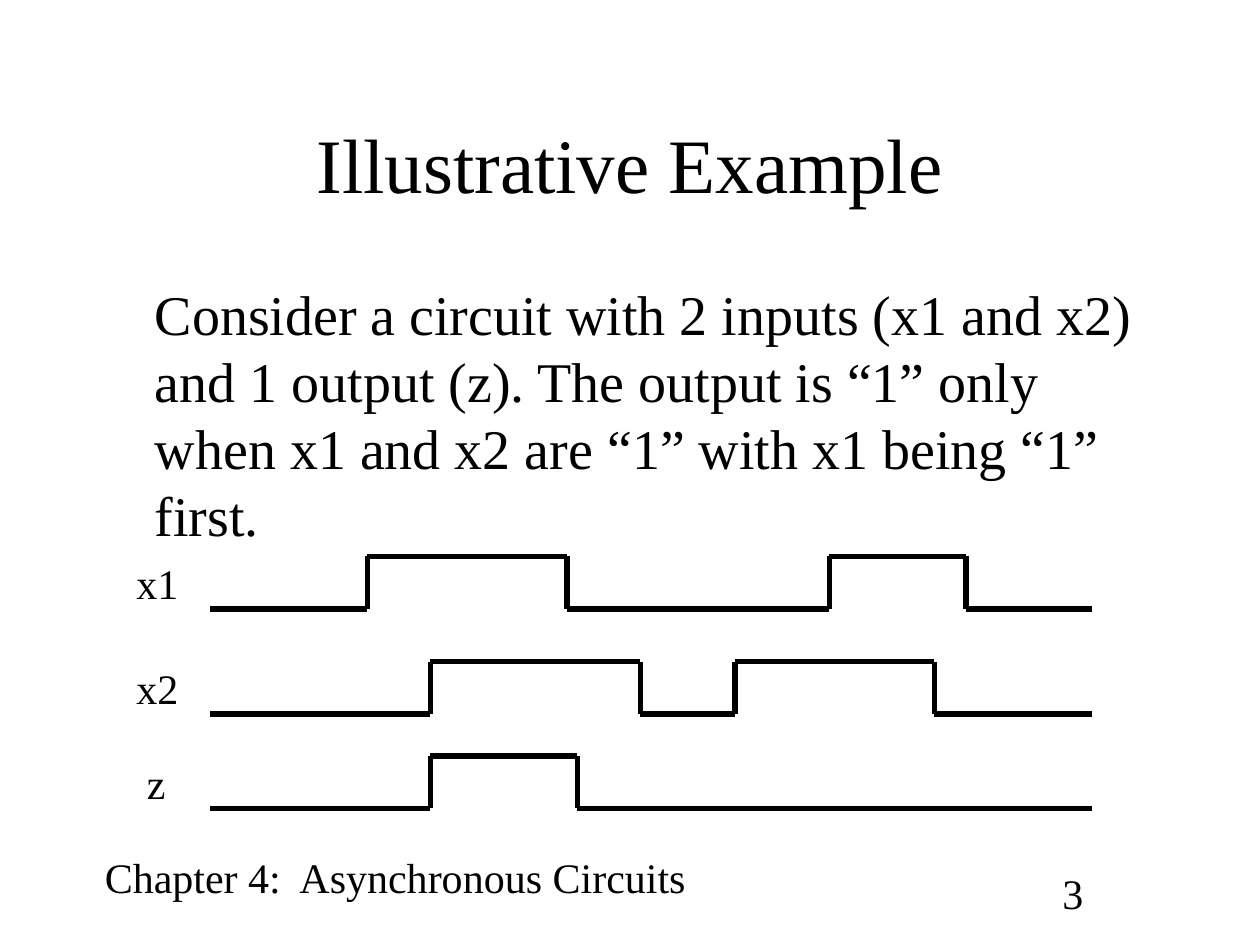
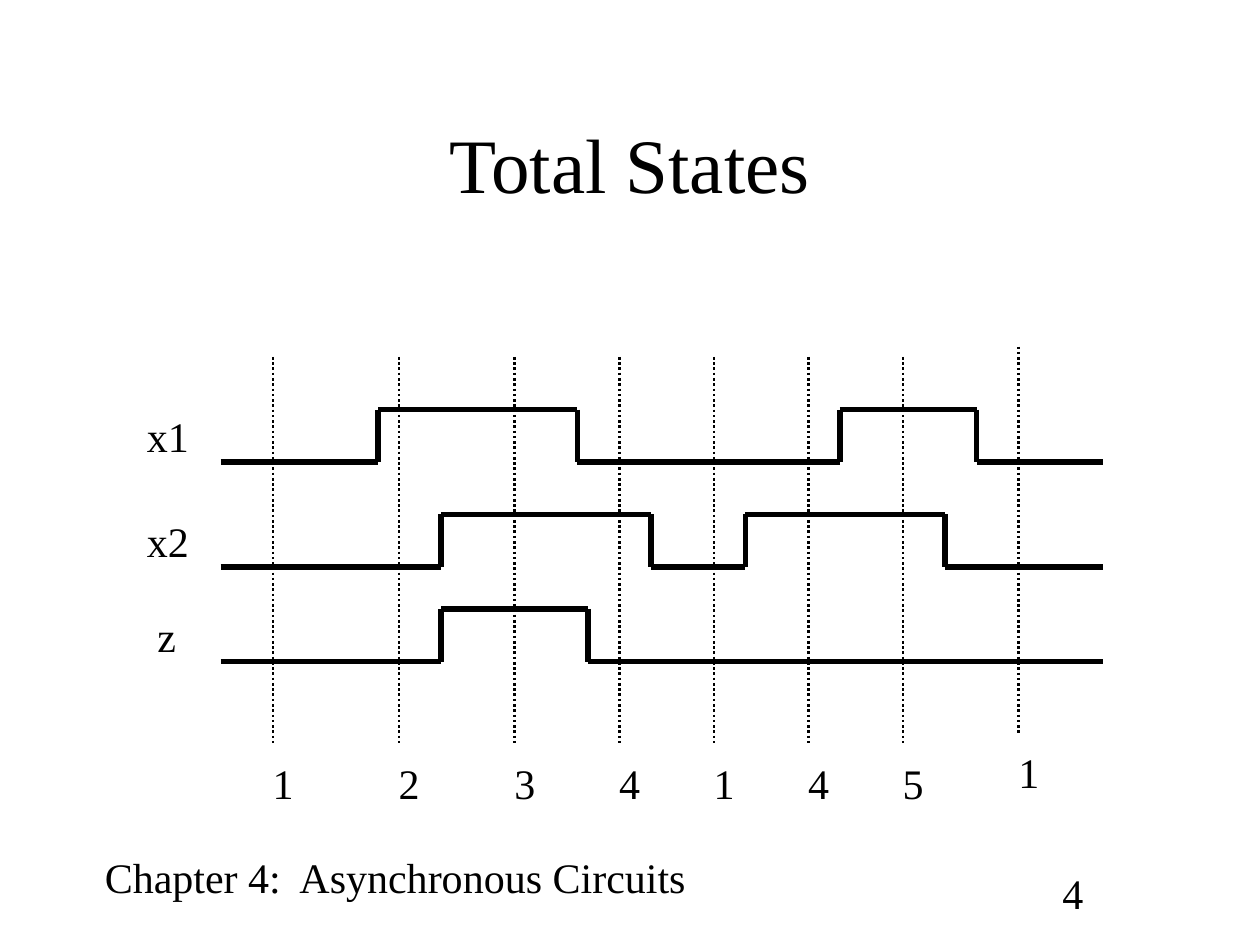
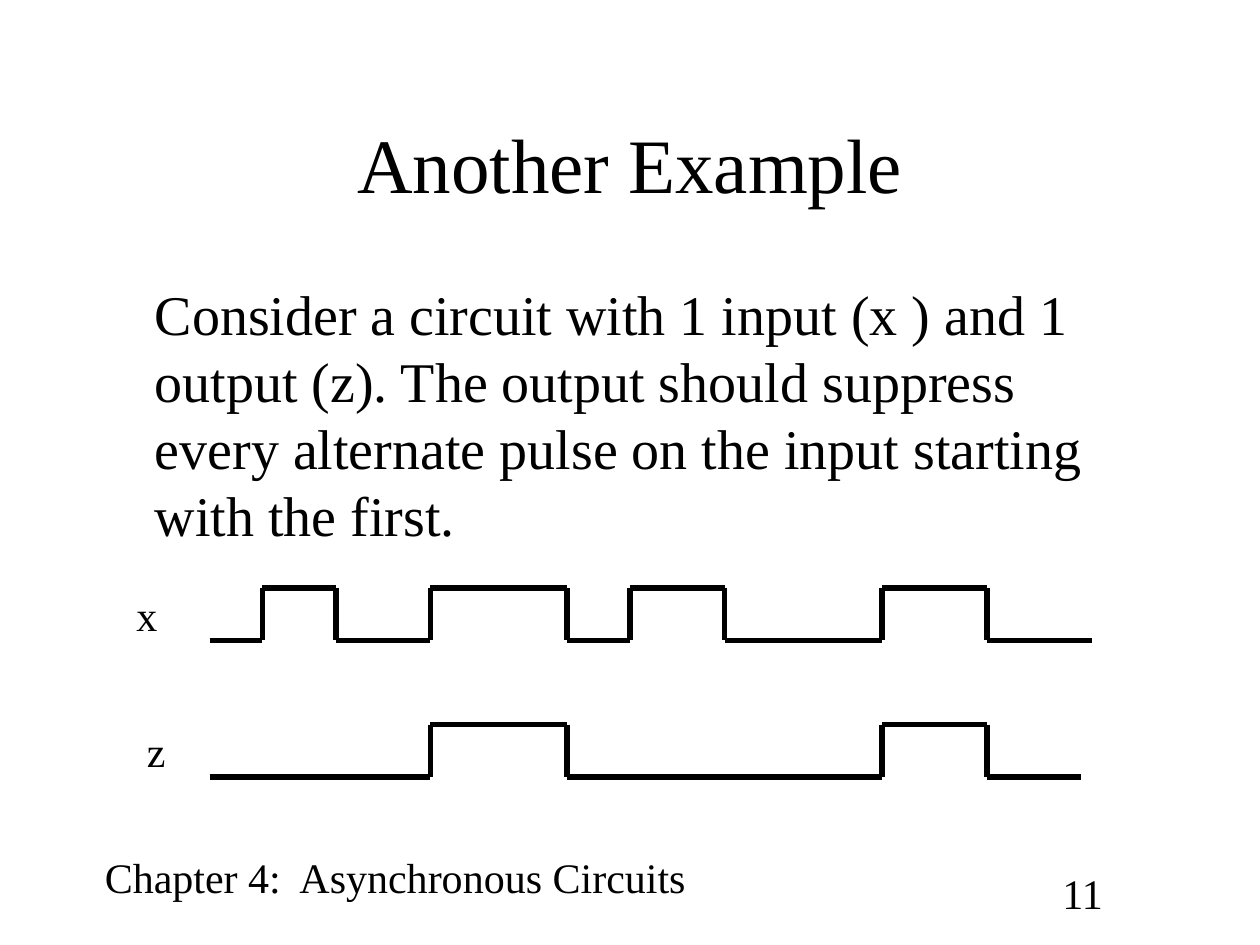
"""Build three slides on timing diagrams of asynchronous circuits."""
import itertools

import lxml.etree
import pptx
import pptx.dml.color
import pptx.enum.dml
import pptx.enum.shapes
import pptx.enum.text
import pptx.oxml.ns
import pptx.util

INK = pptx.dml.color.RGBColor(0x00, 0x00, 0x00)
PAPER = pptx.dml.color.RGBColor(0xFF, 0xFF, 0xFF)
FONT = "Times New Roman"
SLIDE_WIDTH = pptx.util.Inches(10)
SLIDE_HEIGHT = pptx.util.Inches(7.5)
GRID_COLUMNS = 120
GRID_ROWS = 90

TITLE_BOX = (9, 8, 102, 15)
STATEMENT_BOX = (9, 26, 102, 54)
CHAPTER_BOX = (8.8, 80.5, 58.9, 6)
NUMBER_BOX = (100, 82, 11, 6)
LABEL_HEIGHT = 6
LABEL_RISE = 5.45
PULSE_HEIGHT = 5

CHAPTER = "Chapter 4:  Asynchronous Circuits"
TITLE_FORMAT = {"size": pptx.util.Pt(44)}
STATEMENT_FORMAT = {"size": pptx.util.Pt(32)}
LABEL_FORMAT = {"size": pptx.util.Pt(24)}
SIGNAL_LINE = {"width": pptx.util.Pt(3)}
STATE_LINE = {
    "width": pptx.util.Pt(1.5),
    "dash_style": pptx.enum.dml.MSO_LINE.ROUND_DOT,
}

LABELS = {"x1": (-8.2, 6.4), "x2": (-8.2, 6.4), "x": (-8.2, 4.3), "z": (-7.2, 4.2)}
TWO_INPUT_SIGNALS = [
    ("x1", 5, [15, 34, 59, 72], 84),
    ("x2", 15, [21, 41, 50, 69], 84),
    ("z", 24, [21, 35], 84),
]
ONE_INPUT_SIGNALS = [
    ("x", 5, [5, 12, 21, 34, 40, 49, 64, 74], 84),
    ("z", 18, [21, 34, 64, 74], 83),
]
STATES = [
    ("1", 5, 0), ("2", 17, 0), ("3", 28, 0), ("4", 38, 0),
    ("1", 47, 0), ("4", 56, 0), ("5", 65, 0), ("1", 76, -1),
]


def across(columns):
    """Turn grid columns into a length."""
    return round(SLIDE_WIDTH * columns / GRID_COLUMNS)


def down(rows):
    """Turn grid rows into a length."""
    return round(SLIDE_HEIGHT * rows / GRID_ROWS)


def apply_format(target, values):
    """Set each named attribute of the target."""
    for name, value in values.items():
        setattr(target, name, value)


def add_text(slide, text, box, font_format, wrap=False):
    """Write one paragraph in a grid box and return it."""
    left, top, width, height = box
    frame = slide.shapes.add_textbox(
        across(left), down(top), across(width), down(height)
    ).text_frame
    frame.word_wrap = wrap
    paragraph = frame.paragraphs[0]
    run = paragraph.add_run()
    run.text = text
    apply_format(run.font, {"name": FONT, **font_format})
    run.font.color.rgb = INK
    return paragraph


def add_line(slide, start, end, line_format):
    """Draw a straight line between two grid points."""
    connector = slide.shapes.add_connector(
        pptx.enum.shapes.MSO_CONNECTOR.STRAIGHT,
        across(start[0]), down(start[1]), across(end[0]), down(end[1]),
    )
    connector.line.color.rgb = INK
    apply_format(connector.line, line_format)
    properties = connector._element.spPr
    lxml.etree.SubElement(properties, pptx.oxml.ns.qn("a:effectLst"))


def add_frame(deck, title, number):
    """Start a slide with its title, chapter line and page number."""
    slide = deck.slides.add_slide(deck.slide_layouts[6])
    slide.background.fill.solid()
    slide.background.fill.fore_color.rgb = PAPER
    add_text(slide, CHAPTER, CHAPTER_BOX, LABEL_FORMAT)
    add_text(slide, str(number), NUMBER_BOX, LABEL_FORMAT, wrap=True)
    heading = add_text(slide, title, TITLE_BOX, TITLE_FORMAT, wrap=True)
    heading.alignment = pptx.enum.text.PP_ALIGN.CENTER
    slide.shapes[-1].text_frame.vertical_anchor = pptx.enum.text.MSO_ANCHOR.MIDDLE
    return slide


def add_statement(slide, text):
    """Write the indented problem statement."""
    statement = add_text(slide, text, STATEMENT_BOX, STATEMENT_FORMAT, wrap=True)
    statement._p.get_or_add_pPr().set("marL", str(pptx.util.Inches(0.38)))


def add_signal(slide, origin, name, base, edges, end):
    """Draw a labelled waveform that toggles at each edge."""
    left, low = origin[0], origin[1] + base
    points = [(left, low)]
    for index, edge in enumerate(edges):
        levels = (low, low - PULSE_HEIGHT)
        before, after = levels if index % 2 == 0 else levels[::-1]
        points += [(left + edge, before), (left + edge, after)]
    points.append((left + end, low))
    for start, stop in itertools.pairwise(points):
        add_line(slide, start, stop, SIGNAL_LINE)
    offset, width = LABELS[name]
    add_text(slide, name, (left + offset, low - LABEL_RISE, width, LABEL_HEIGHT),
             LABEL_FORMAT)


def add_timing(slide, origin, signals):
    """Draw every waveform of a timing diagram from its top left corner."""
    for signal in signals:
        add_signal(slide, origin, *signal)


def add_states(slide, origin):
    """Mark the total states with dotted lines and numbers below."""
    for state, column, shift in STATES:
        x, top = origin[0] + column, origin[1] - 5 + shift
        bottom = top + 37
        add_line(slide, (x, top), (x, bottom), STATE_LINE)
        add_text(slide, state, (x - 1.2, bottom + 0.55, 4.3, LABEL_HEIGHT),
                 LABEL_FORMAT)


def add_example(deck, title, number, statement, origin, signals):
    """Add a slide with a problem statement above its timing diagram."""
    slide = add_frame(deck, title, number)
    add_statement(slide, statement)
    add_timing(slide, origin, signals)


def add_total_states(deck, title, number, origin):
    """Add a slide that divides the two-input timing into total states."""
    slide = add_frame(deck, title, number)
    add_timing(slide, origin, TWO_INPUT_SIGNALS)
    add_states(slide, origin)


def main():
    """Build and save the deck."""
    deck = pptx.Presentation()
    apply_format(deck, {"slide_width": SLIDE_WIDTH, "slide_height": SLIDE_HEIGHT})
    add_example(
        deck, "Illustrative Example", 3,
        "Consider a circuit with 2 inputs (x1 and x2) and 1 output (z). "
        "The output is “1” only when x1 and x2 are “1” with x1 being “1” first.",
        (20, 53), TWO_INPUT_SIGNALS,
    )
    add_total_states(deck, "Total States", 4, (21, 39))
    add_example(
        deck, "Another Example", 11,
        "Consider a circuit with 1 input (x ) and 1 output (z). The output "
        "should suppress every alternate pulse on the input starting with the first.",
        (20, 56), ONE_INPUT_SIGNALS,
    )
    deck.save("out.pptx")


if __name__ == "__main__":
    main()
